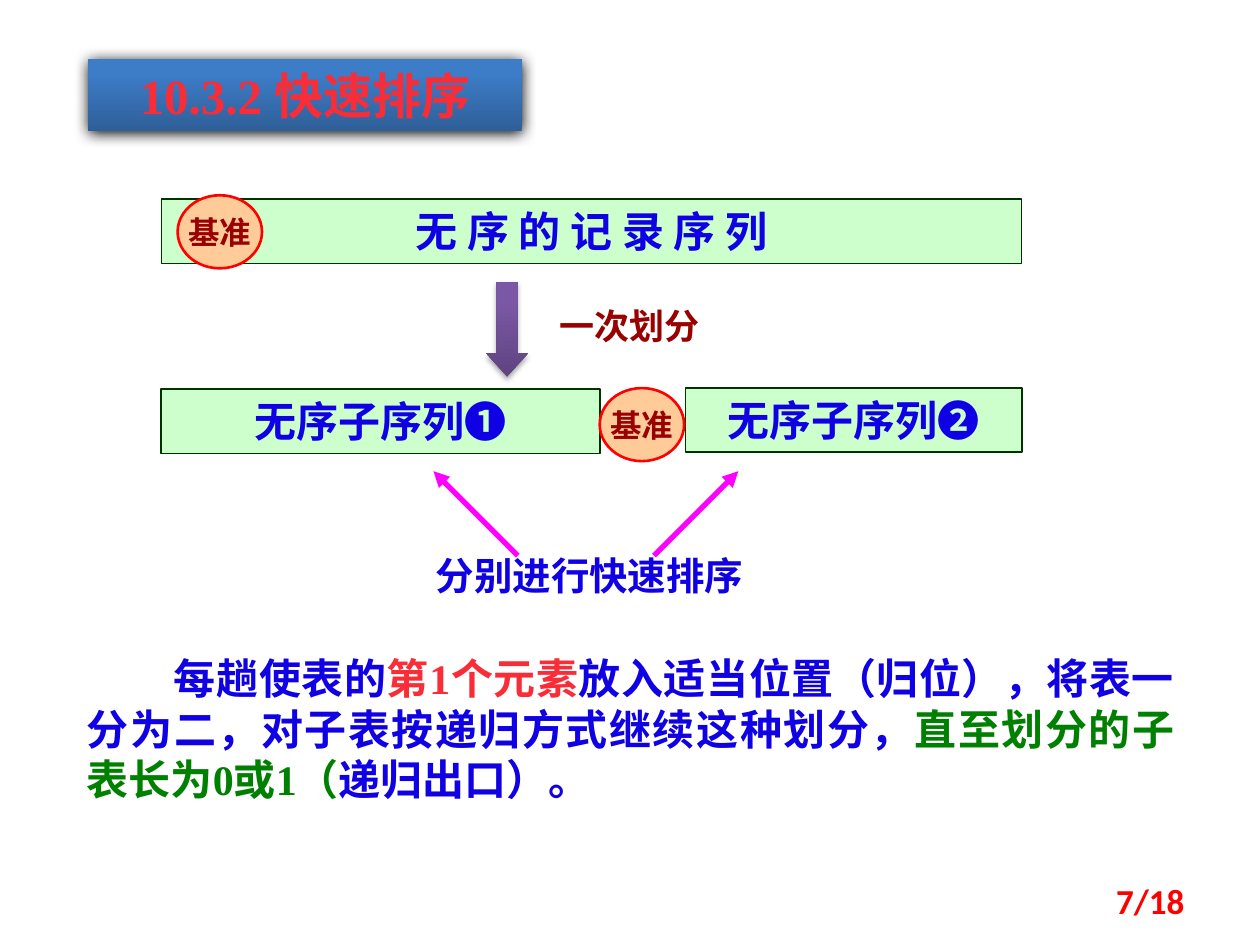
from dataclasses import dataclass
from lxml import etree
from pptx import Presentation
from pptx import util as u
from pptx.dml import color as dml
from pptx.enum import shapes, text
from pptx.oxml import ns

COLORS = {
    "blue": "1000E4", "red": "F92D37", "green": "008000", "brown": "990000",
    "bar": "CCFFCC", "bar_line": "003300", "pivot": "FFCC99",
    "pivot_line": "FF0000", "pointer": "FF00FF",
    "title_dark": "2F5F99", "title_light": "3D7CC7",
    "arrow_dark": "5F4480", "arrow_light": "7B58A6", "shadow": "000000",
}
CJK = "Noto Sans CJK SC"
SERIF = "Times New Roman"
CENTER = text.PP_ALIGN.CENTER
LEFT = text.PP_ALIGN.LEFT


@dataclass
class Bar:
    label: str
    left: float
    top: float
    width: float
    line: float


@dataclass
class Label:
    words: str
    left: float
    top: float
    width: float
    height: float
    size: int
    color: str
    font: str = CJK
    align: text.PP_ALIGN = LEFT
    wrap: bool = False
    anchor: text.MSO_ANCHOR = text.MSO_ANCHOR.TOP


def rgb(name: str) -> dml.RGBColor:
    return dml.RGBColor.from_string(COLORS[name])


def place(shape, left: float, top: float, width: float, height: float) -> None:
    shape.left, shape.top = u.Inches(left), u.Inches(top)
    shape.width, shape.height = u.Inches(width), u.Inches(height)


def style(para, size: int, color: str, font: str, align: text.PP_ALIGN) -> None:
    para.alignment = align
    para.font.size = u.Pt(size)
    para.font.bold = True
    para.font.name = font
    para.font.color.rgb = rgb(color)
    defaults = para._p.pPr.find(ns.qn("a:defRPr"))
    etree.SubElement(defaults, ns.qn("a:ea"), typeface=CJK)


def add_shadow(shape, blur: float, distance: float, alpha: int) -> None:
    shape.shadow.inherit = False
    effects = shape._element.spPr.find(ns.qn("a:effectLst"))
    shadow = etree.SubElement(
        effects, ns.qn("a:outerShdw"), blurRad=str(u.Pt(blur)),
        dist=str(u.Pt(distance)), dir="5400000", rotWithShape="0")
    tint = etree.SubElement(shadow, ns.qn("a:srgbClr"), val=COLORS["shadow"])
    etree.SubElement(tint, ns.qn("a:alpha"), val=str(alpha * 1000))


def fill_gradient(shape, dark: str, light: str) -> None:
    shape.fill.gradient()
    shape.fill.gradient_angle = 90
    for stop, name, position in zip(shape.fill.gradient_stops, (dark, light), (0, 0.8)):
        stop.color.rgb = rgb(name)
        stop.position = position


def add_filled(page, kind, fill: str, line: str, weight: float):
    shape = page.shapes.add_shape(kind, 0, 0, 0, 0)
    shape.shadow.inherit = False
    shape.fill.solid()
    shape.fill.fore_color.rgb = rgb(fill)
    shape.line.color.rgb = rgb(line)
    shape.line.width = u.Pt(weight)
    return shape


def add_bar(page, bar: Bar) -> None:
    shape = add_filled(page, shapes.MSO_SHAPE.RECTANGLE, "bar", "bar_line", bar.line)
    place(shape, bar.left, bar.top, bar.width, 0.51)
    frame = shape.text_frame
    frame.text = bar.label
    frame.vertical_anchor = text.MSO_ANCHOR.TOP
    style(frame.paragraphs[0], 24, "blue", SERIF, CENTER)


def add_pivot(page, left: float, top: float) -> None:
    shape = add_filled(page, shapes.MSO_SHAPE.OVAL, "pivot", "pivot_line", 1.5)
    place(shape, left, top, 0.67, 0.58)
    frame = shape.text_frame
    frame.text = "基准"
    frame.word_wrap = False
    frame.vertical_anchor = text.MSO_ANCHOR.MIDDLE
    style(frame.paragraphs[0], 18, "brown", CJK, CENTER)


def add_label(page, label: Label) -> None:
    box = page.shapes.add_textbox(0, 0, 0, 0)
    place(box, label.left, label.top, label.width, label.height)
    frame = box.text_frame
    frame.text = label.words
    frame.word_wrap = label.wrap
    frame.vertical_anchor = label.anchor
    style(frame.paragraphs[0], label.size, label.color, label.font, label.align)


def add_pointer(page, start_x: float, end_x: float) -> None:
    pointer = page.shapes.add_connector(
        shapes.MSO_CONNECTOR.STRAIGHT, u.Inches(start_x), u.Inches(4.41),
        u.Inches(end_x), u.Inches(3.74))
    pointer.line.color.rgb = rgb("pointer")
    pointer.line.width = u.Pt(3)
    etree.SubElement(pointer.line._get_or_add_ln(), ns.qn("a:tailEnd"), type="triangle")
    etree.SubElement(pointer._element.spPr, ns.qn("a:effectLst"))


def add_down_arrow(page) -> None:
    arrow = page.shapes.add_shape(shapes.MSO_SHAPE.DOWN_ARROW, 0, 0, 0, 0)
    place(arrow, 3.86, 2.24, 0.33, 0.75)
    arrow.adjustments[1] = 0.56
    fill_gradient(arrow, "arrow_dark", "arrow_light")
    arrow.line.fill.background()
    add_shadow(arrow, 3.1, 1.8, 35)


def set_title(title) -> None:
    place(title, 0.7, 0.47, 3.44, 0.57)
    fill_gradient(title, "title_dark", "title_light")
    add_shadow(title, 8.5, 1, 100)
    frame = title.text_frame
    frame.text = "10.3.2 快速排序"
    frame.auto_size = text.MSO_AUTO_SIZE.NONE
    frame.vertical_anchor = text.MSO_ANCHOR.TOP
    style(frame.paragraphs[0], 28, "red", SERIF, CENTER)


def set_body(body) -> None:
    place(body, 0.59, 5.13, 8.83, 1.31)
    body.text_frame.auto_size = text.MSO_AUTO_SIZE.NONE
    para = body.text_frame.paragraphs[0]
    para.space_before = u.Pt(0)
    properties = para._p.get_or_add_pPr()
    properties.set("marL", "0")
    properties.set("indent", str(u.Inches(0.69)))
    etree.SubElement(properties, ns.qn("a:buNone"))
    style(para, 24, "blue", SERIF, text.PP_ALIGN.JUSTIFY)
    for words, color in (
        ("每趟使表的", "blue"),
        ("第1个元素", "red"),
        ("放入适当位置（归位），将表一分为二，对子表按递归方式继续这种划分，", "blue"),
        ("直至划分的子表长为0或1（", "green"),
        ("递归出口）。", "blue"),
    ):
        span = para.add_run()
        span.text = words
        span.font.color.rgb = rgb(color)


def main() -> None:
    deck = Presentation()
    deck.slide_width, deck.slide_height = u.Inches(10), u.Inches(7.5)
    page = deck.slides.add_slide(deck.slide_layouts[1])
    set_title(page.shapes.title)
    set_body(page.placeholders[1])
    for bar in (
        Bar("无 序 的 记 录 序 列", 1.28, 1.58, 6.83, 0.75),
        Bar("无序子序列❶", 1.28, 3.09, 3.48, 1),
        Bar("无序子序列❷", 5.44, 3.08, 2.67, 1),
    ):
        add_bar(page, bar)
    add_pivot(page, 1.41, 1.55)
    add_pivot(page, 4.76, 3.08)
    add_down_arrow(page)
    add_pointer(page, 4.11, 3.44)
    add_pointer(page, 5.19, 5.86)
    for label in (
        Label("一次划分", 4.34, 2.37, 1.33, 0.44, 20, "brown"),
        Label("分别进行快速排序", 3.36, 4.33, 2.68, 0.47, 22, "blue"),
        Label("7/18", 7.17, 6.95, 2.33, 0.4, 20, "pivot_line", "Calibri",
              text.PP_ALIGN.RIGHT, True, text.MSO_ANCHOR.MIDDLE),
    ):
        add_label(page, label)
    deck.save("out.pptx")


if __name__ == "__main__":
    main()
